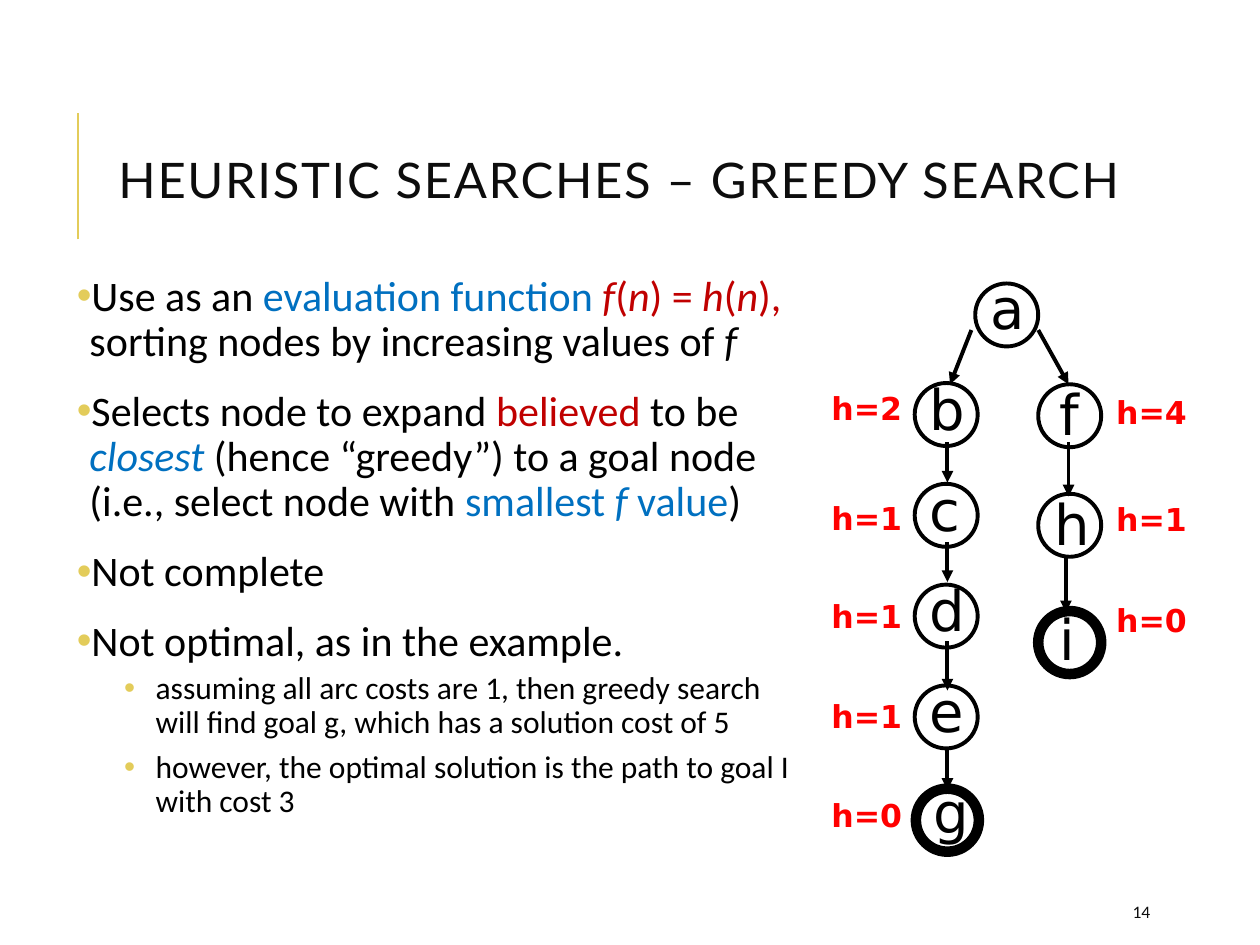
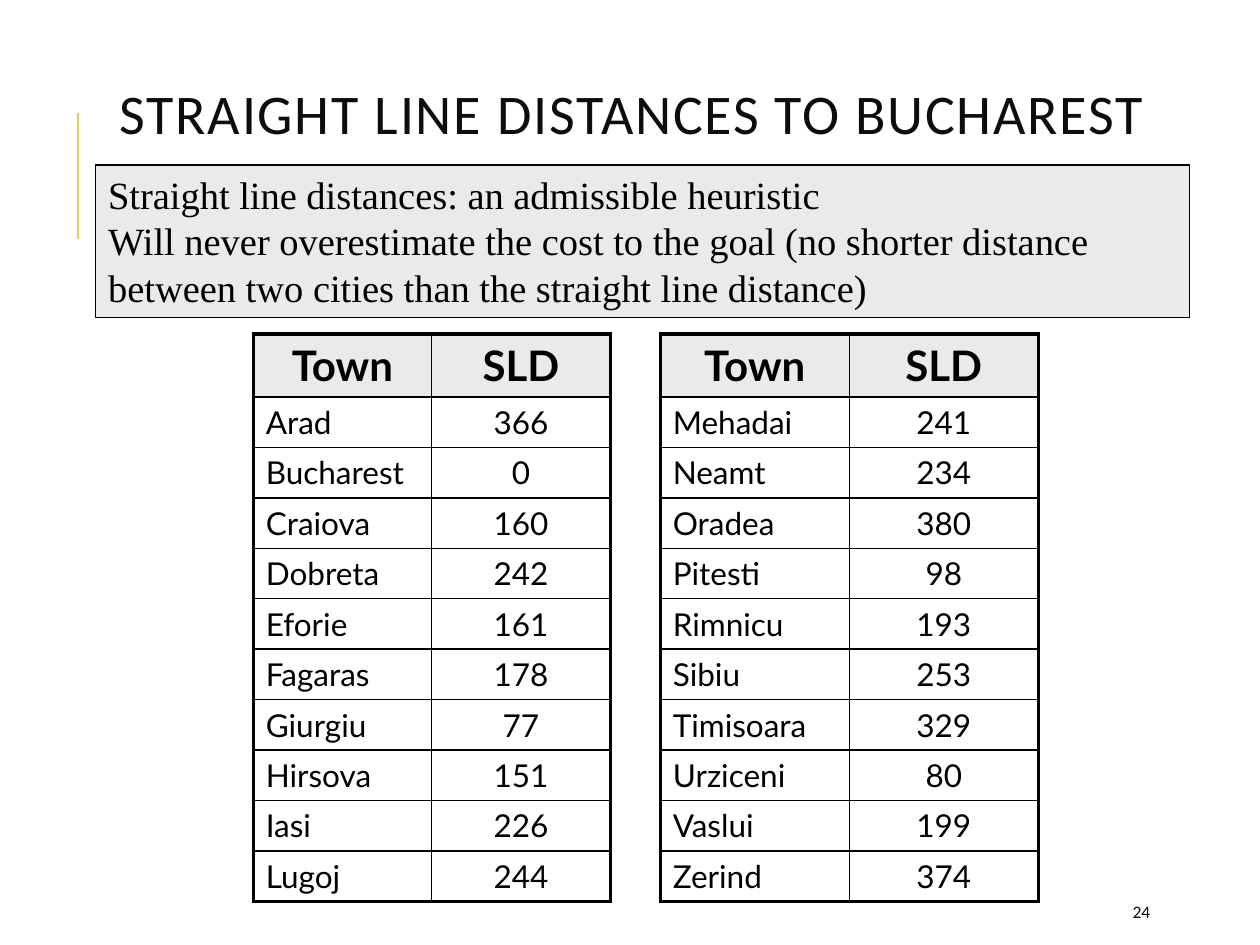
from lxml.etree import SubElement
from pptx import Presentation
from pptx.dml.color import RGBColor
from pptx.enum.shapes import MSO_CONNECTOR, MSO_SHAPE
from pptx.enum.text import MSO_ANCHOR, MSO_AUTO_SIZE, PP_ALIGN
from pptx.oxml.ns import qn
from pptx.util import Pt

BLACK, INK, WHITE, GREY = "000000", "0D0D0D", "FFFFFF", "EAEAEA"
GOLD, BLUE, CRIMSON, RED = "E3CC5A", "0070C0", "C00000", "FF0000"
LATO, CALIBRI, DEJAVU, TIMES = "Lato", "Calibri", "DejaVu Sans", "Times New Roman"

GREEDY_TITLE = "HEURISTIC SEARCHES – GREEDY SEARCH"
# Each bullet: level, then runs of (text, colour, italic)
BULLETS = [
    (0, [("Use as an ", BLACK, False), ("evaluation function ", BLUE, False),
         ("f", CRIMSON, True), ("(", CRIMSON, False), ("n", CRIMSON, True),
         (") = ", CRIMSON, False), ("h", CRIMSON, True), ("(", CRIMSON, False),
         ("n", CRIMSON, True), ("), ", CRIMSON, False),
         ("sorting nodes by increasing values of ", BLACK, False), ("f", BLACK, True)]),
    (0, [("Selects node to expand ", BLACK, False), ("believed", CRIMSON, False),
         (" to be ", BLACK, False), ("closest ", BLUE, True),
         ("(hence “greedy”) to a goal node (i.e., select node with ", BLACK, False),
         ("smallest ", BLUE, False), ("f ", BLUE, True), ("value", BLUE, False),
         (")", BLACK, False)]),
    (0, [("Not complete", BLACK, False)]),
    (0, [("Not optimal, as in the example.", BLACK, False)]),
    (1, [("assuming all arc costs are 1, then greedy search will find goal g, "
          "which has a solution cost of 5", BLACK, False)]),
    (1, [("however, the optimal solution is the path to goal I with cost 3", BLACK, False)]),
]
# Size, left margin, first-line indent, space before, space after
LEVELS = [(24, 7.2, -7.2, 12, 2), (18, 45, -18, 2, 4)]

# Letter, circle left and top, letter offset from the circle
NODES = [("a", 557.3, 162, 1.4, -9.4), ("f", 593.3, 219.6, 5, -6.5)]
NODES += [(letter, 522.7, 218.9 + 57.6 * i, 1.4, -8.6) for i, letter in enumerate("bcde")]
NODES += [("g", 523.4, 450.7, 2.9, -10.1), ("h", 593.3, 282.2, 2.2, -5.8),
          ("i", 593.3, 349.2, 5, -7.2)]
GOALS = "gi"
NODE_SIZE = 36
ARROWS = [
    (555.1, 188.6, 542.9, 219.6), (593.3, 188.6, 610.6, 219.6),
    (541.4, 252.7, 541.4, 275.8), (541.4, 309.6, 541.4, 332.6),
    (541.4, 366.5, 541.4, 394.6), (541.4, 428.4, 541.4, 451.4),
    (610.6, 252.7, 610.6, 283.7), (609.1, 318.2, 609.1, 349.9),
]
# Column left: heuristic values with their tops
HEURISTICS = {
    468: [("h=2", 218.9), ("h=1", 281.5), ("h=1", 337.7), ("h=1", 394.6), ("h=0", 451.4)],
    630.7: [("h=4", 221), ("h=1", 282.2), ("h=0", 339.8)],
}

DISTANCE_TITLE = "STRAIGHT LINE DISTANCES TO BUCHAREST"
NOTE = [
    "Straight line distances: an admissible heuristic",
    "Will never overestimate the cost to the goal (no shorter distance between "
    "two cities than the straight line distance)",
]
HEADER = ("Town", "SLD")
# Table left, column width, rows
TABLES = [
    (144.7, 102, [("Arad", 366), ("Bucharest", 0), ("Craiova", 160), ("Dobreta", 242),
                  ("Eforie", 161), ("Fagaras", 178), ("Giurgiu", 77), ("Hirsova", 151),
                  ("Iasi", 226), ("Lugoj", 244)]),
    (377.3, 108, [("Mehadai", 241), ("Neamt", 234), ("Oradea", 380), ("Pitesti", 98),
                  ("Rimnicu", 193), ("Sibiu", 253), ("Timisoara", 329), ("Urziceni", 80),
                  ("Vaslui", 199), ("Zerind", 374)]),
]
TABLE_TOP, HEADER_H, ROW_H = 190.8, 36, 28.8
THICK, THIN = 2.25, 1


def rgb(color):
    return RGBColor.from_string(color)


def pts(*values):
    return [Pt(v) for v in values]


def style_run(r, size, font, color, bold=False, italic=False):
    r.font.size, r.font.name = Pt(size), font
    r.font.bold, r.font.italic = bold, italic
    r.font.color.rgb = rgb(color)


def place(sp, box):
    sp.left, sp.top, sp.width, sp.height = pts(*box)


def add_text(shapes, text, box, size, font, color, bold=False,
             anchor=MSO_ANCHOR.TOP, wrap=True):
    tf = shapes.add_textbox(*pts(*box)).text_frame
    tf.word_wrap, tf.vertical_anchor = wrap, anchor
    tf.text = text
    style_run(tf.paragraphs[0].runs[0], size, font, color, bold)


def add_line(slide, ends, color, width, arrow=False):
    cx = slide.shapes.add_connector(MSO_CONNECTOR.STRAIGHT, *pts(*ends))
    cx.line.color.rgb, cx.line.width = rgb(color), Pt(width)
    if arrow:
        SubElement(cx.line._get_or_add_ln(), qn("a:tailEnd"), type="triangle")
    SubElement(cx._element.spPr, qn("a:effectLst"))


def add_slide(prs, layout, title, box, size, font, number):
    """Add a slide with the shared accent line, title style and page number."""
    slide = prs.slides.add_slide(prs.slide_layouts[layout])
    add_line(slide, (44.6, 136.8, 44.6, 64.8), GOLD, 1.5)
    sp = slide.shapes.title
    place(sp, box)
    tf = sp.text_frame
    tf.text = title
    tf.auto_size, tf.vertical_anchor = MSO_AUTO_SIZE.NONE, MSO_ANCHOR.MIDDLE
    p = tf.paragraphs[0]
    p.alignment, p.line_spacing = PP_ALIGN.LEFT, 0.8
    style_run(p.runs[0], size, font, INK)
    p.runs[0].font._element.set("spc", "100")
    add_text(slide.shapes, number, (640.1, 509.8, 57.6, 21.6), 10, CALIBRI, INK,
             anchor=MSO_ANCHOR.MIDDLE)
    return slide


def fill_bullets(sp):
    place(sp, (40.3, 153.4, 416.9, 340.6))
    tf = sp.text_frame
    tf.auto_size, tf.vertical_anchor = MSO_AUTO_SIZE.NONE, MSO_ANCHOR.TOP
    tf.margin_left = tf.margin_top = tf.margin_right = tf.margin_bottom = Pt(3.6)
    for i, (level, runs) in enumerate(BULLETS):
        p = tf.add_paragraph() if i else tf.paragraphs[0]
        size, margin, indent, before, after = LEVELS[level]
        p.level, p.line_spacing = level, 0.9
        p.space_before, p.space_after = Pt(before), Pt(after)
        pPr = p._p.get_or_add_pPr()
        pPr.set("marL", str(Pt(margin)))
        pPr.set("indent", str(Pt(indent)))
        SubElement(SubElement(pPr, qn("a:buClr")), qn("a:srgbClr"), val=GOLD)
        SubElement(pPr, qn("a:buChar"), char="•")
        for text, color, italic in runs:
            r = p.add_run()
            r.text = text
            style_run(r, size, CALIBRI, color, italic=italic)


def add_node(slide, letter, x, y, dx, dy):
    shapes = slide.shapes.add_group_shape().shapes
    sp = shapes.add_shape(MSO_SHAPE.OVAL, *pts(x, y, NODE_SIZE, NODE_SIZE))
    sp.shadow.inherit = False
    sp.fill.background()
    sp.line.color.rgb = rgb(BLACK)
    sp.line.width = Pt(6 if letter in GOALS else 2.25)
    add_text(shapes, letter, (x + dx, y + dy, 36, 46), 32, DEJAVU, BLACK)


def set_borders(cell, widths):
    """Draw black cell borders; widths are left, right, top, bottom."""
    tcPr = cell._tc.get_or_add_tcPr()
    for i, (side, width) in enumerate(zip("LRTB", widths)):
        ln = SubElement(tcPr, qn("a:ln" + side), w=str(Pt(width)))
        SubElement(SubElement(ln, qn("a:solidFill")), qn("a:srgbClr"), val=BLACK)
        tcPr.insert(i, ln)


def add_distance_table(slide, left, col_w, towns):
    rows = [HEADER] + towns
    last = len(rows) - 1
    box = (left, TABLE_TOP, 2 * col_w, HEADER_H + ROW_H * last)
    table = slide.shapes.add_table(len(rows), 2, *pts(*box)).table
    table.horz_banding = table.first_row = False
    for i, row in enumerate(rows):
        header = i == 0
        table.rows[i].height = Pt(HEADER_H if header else ROW_H)
        for j, value in enumerate(row):
            cell = table.cell(i, j)
            cell.text = str(value)
            cell.vertical_anchor = MSO_ANCHOR.TOP if header else MSO_ANCHOR.MIDDLE
            cell.fill.solid()
            cell.fill.fore_color.rgb = rgb(GREY if header else WHITE)
            p = cell.text_frame.paragraphs[0]
            p.alignment = PP_ALIGN.CENTER if header or j else PP_ALIGN.LEFT
            style_run(p.runs[0], 24 if header else 18, LATO, BLACK, bold=header)
            outer = (j == 0, j == 1, header, i == last)
            set_borders(cell, [THICK if edge else THIN for edge in outer])


def add_note(slide):
    sp = slide.shapes.add_shape(MSO_SHAPE.RECTANGLE, *pts(54.7, 94.3, 625, 87.1))
    sp.shadow.inherit = False
    sp.fill.solid()
    sp.fill.fore_color.rgb = rgb(GREY)
    sp.line.color.rgb, sp.line.width = rgb(BLACK), Pt(0.75)
    tf = sp.text_frame
    tf.word_wrap, tf.vertical_anchor = True, MSO_ANCHOR.TOP
    tf.text = "\n".join(NOTE)
    for p in tf.paragraphs:
        p.alignment = PP_ALIGN.LEFT
        style_run(p.runs[0], 22, TIMES, BLACK)


def build_greedy_slide(prs):
    slide = add_slide(prs, 1, GREEDY_TITLE, (60.5, 46.1, 645.1, 118.1), 28, LATO, "14")
    fill_bullets(slide.placeholders[1])
    for node in NODES:
        add_node(slide, *node)
    for ends in ARROWS:
        add_line(slide, ends, BLACK, 2.25, arrow=True)
    for left, values in HEURISTICS.items():
        for text, top in values:
            add_text(slide.shapes, text, (left, top, 56.2, 28.8), 18, DEJAVU, RED,
                     bold=True, wrap=False)


def build_distance_slide(prs):
    slide = add_slide(prs, 5, DISTANCE_TITLE, (61.2, 8.6, 635.8, 118.1), 32, CALIBRI, "24")
    for left, col_w, towns in TABLES:
        add_distance_table(slide, left, col_w, towns)
    add_note(slide)


def main():
    prs = Presentation()
    prs.slide_width, prs.slide_height = Pt(720), Pt(540)
    build_greedy_slide(prs)
    build_distance_slide(prs)
    prs.save("out.pptx")


if __name__ == "__main__":
    main()
